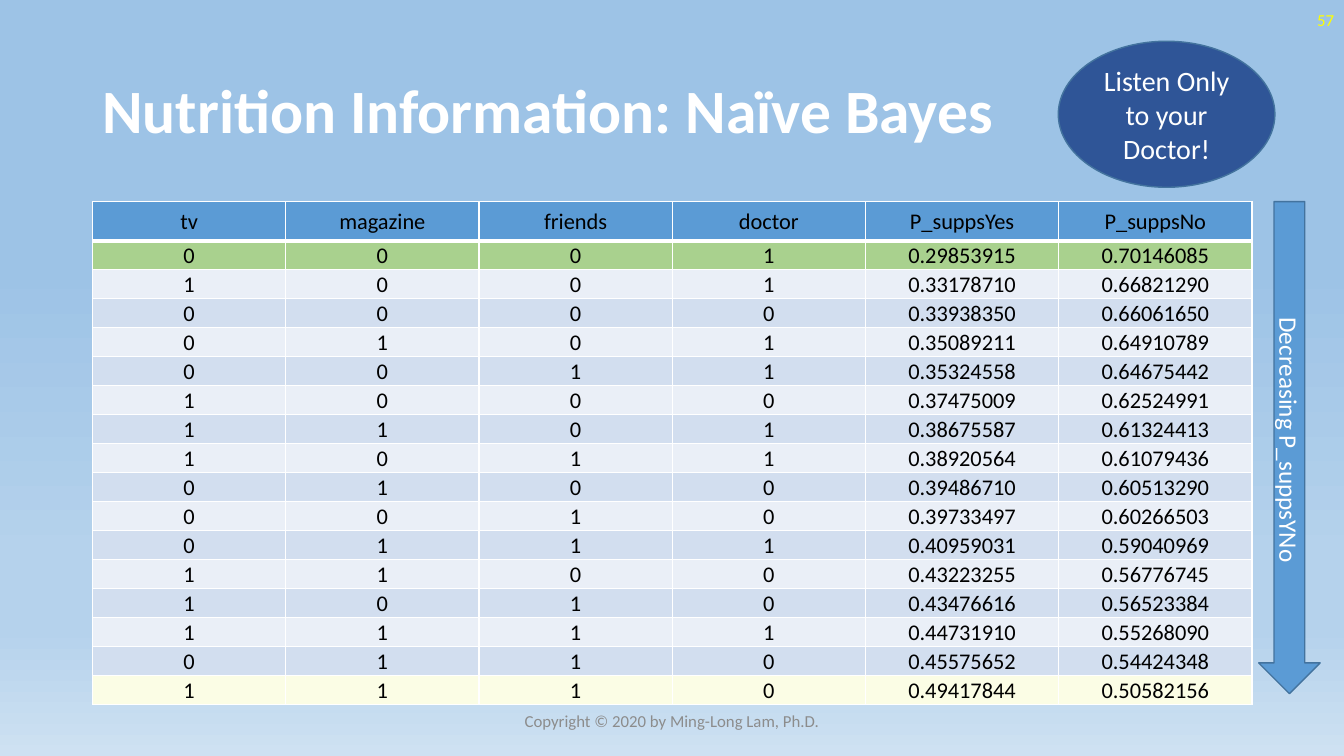
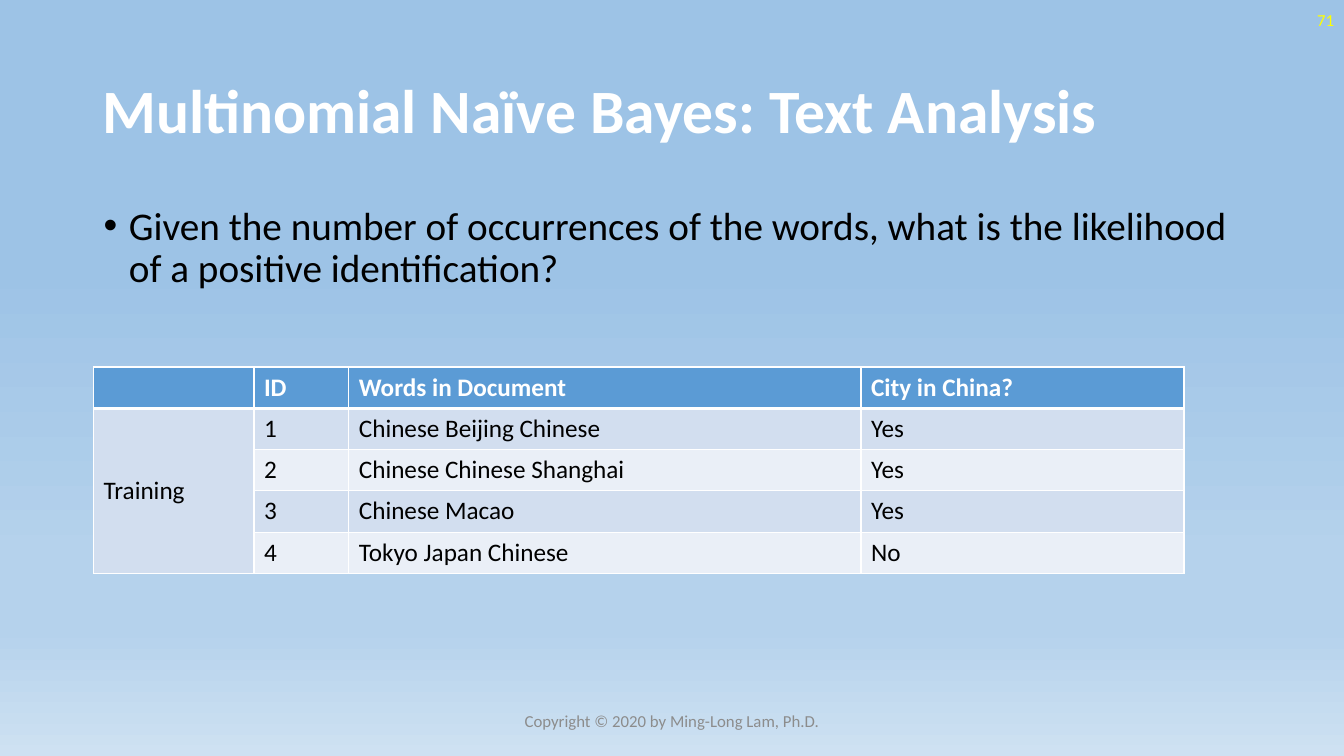
"""Build two slides on Naïve Bayes: a probability table and a text analysis table."""
from lxml.etree import SubElement
from pptx import Presentation
from pptx.dml.color import RGBColor as RGB
from pptx.enum.shapes import MSO_SHAPE as Shape
from pptx.enum.text import MSO_ANCHOR as Anchor, PP_ALIGN as Align
from pptx.oxml import parse_xml
from pptx.oxml.ns import nsdecls, qn
from pptx.util import Cm, Pt

FONT = "Calibri"
WHITE = RGB(0xFF, 0xFF, 0xFF)
BLACK = RGB(0x00, 0x00, 0x00)
YELLOW = RGB(0xFF, 0xFF, 0x00)
GREY = RGB(0x8C, 0x8C, 0x8C)
BLUE = RGB(0x5B, 0x9B, 0xD5)
NAVY = RGB(0x2F, 0x55, 0x97)
EDGE = RGB(0x43, 0x73, 0x9E)
BAND = RGB(0xD2, 0xDE, 0xEF)
PALE = RGB(0xEA, 0xEF, 0xF7)
GREEN = RGB(0xA9, 0xD1, 0x8E)
CREAM = RGB(0xFB, 0xFD, 0xE5)
SKY = [(35, "9DC3E6"), (74, "B5D2EC"), (83, "B5D2EC"), (100, "CEE1F2")]


def write(frame, text, size, color, bold=False, align=Align.LEFT, anchor=None):
    """Fill a text frame with one styled paragraph and return the paragraph."""
    frame.word_wrap = True
    if anchor is not None:
        frame.vertical_anchor = anchor
    para = frame.paragraphs[0]
    para.text = text
    para.alignment = align
    font = para.font
    font.name, font.size, font.bold = FONT, Pt(size), bold
    font.color.rgb = color
    return para


def grid(slide, left, top, widths, heights, rows, fills, size, head, bold, align):
    """Add a table with white borders and a thick rule below its first row."""
    table = slide.shapes.add_table(len(rows), len(widths), Cm(left), Cm(top),
                                   Cm(sum(widths)), Cm(sum(heights))).table
    table.first_row = table.horz_banding = False
    for col, width in zip(table.columns, widths):
        col.width = Cm(width)
    for r, (row, fill) in enumerate(zip(rows, fills)):
        table.rows[r].height = Cm(heights[r])
        for c, text in enumerate(row):
            cell = table.cell(r, c)
            cell.fill.solid()
            cell.fill.fore_color.rgb = fill
            write(cell.text_frame, text, size, BLACK if r else head,
                  bold and r == 0, align)
            props = cell._tc.get_or_add_tcPr()
            for i, side in enumerate("LRTB"):
                thick = (r, side) in [(0, "B"), (1, "T")]
                props.insert(i, parse_xml(
                    f'<a:ln{side} {nsdecls("a")} w="{Pt(3 if thick else 1)}">'
                    f'<a:solidFill><a:srgbClr val="{WHITE}"/></a:solidFill>'
                    f'</a:ln{side}>'))
    return table


deck = Presentation()
deck.slide_width, deck.slide_height = Cm(33.87), Cm(19.05)

master = deck.slide_master
back = master.background.fill
back.gradient()
back.gradient_angle = 270
stops = master.element.find(".//" + qn("a:gsLst"))
for stop in list(stops):
    stops.remove(stop)
for place, shade in SKY:
    stop = SubElement(stops, qn("a:gs"), pos=str(place * 1000))
    SubElement(stop, qn("a:srgbClr"), val=shade)

slides = []
for title, number in [("Nutrition Information: Naïve Bayes", "57"),
                      ("Multinomial Naïve Bayes: Text Analysis", "71")]:
    slide = deck.slides.add_slide(deck.slide_layouts[6])
    slides.append(slide)
    for box, text, size, color, bold, align in [
            ((2.33, 1.02, 29.21, 3.68), title, 44, WHITE, True, Align.LEFT),
            ((26.25, 0, 7.62, 1.02), number, 12, YELLOW, False, Align.RIGHT),
            ((11.22, 17.65, 11.43, 1.02), "Copyright © 2020 by Ming-Long Lam, Ph.D.",
             12, GREY, False, Align.CENTER)]:
        frame = slide.shapes.add_textbox(*map(Cm, box)).text_frame
        para = write(frame, text, size, color, bold, align, Anchor.MIDDLE)
        if bold:
            para.line_spacing = 0.9
odds, words = slides

cases = [
    ("0001", 0.29853915), ("1001", 0.33178710), ("0000", 0.33938350),
    ("0101", 0.35089211), ("0011", 0.35324558), ("1000", 0.37475009),
    ("1101", 0.38675587), ("1011", 0.38920564), ("0100", 0.39486710),
    ("0010", 0.39733497), ("0111", 0.40959031), ("1100", 0.43223255),
    ("1010", 0.43476616), ("1111", 0.44731910), ("0110", 0.45575652),
    ("1110", 0.49417844),
]
rows = [["tv", "magazine", "friends", "doctor", "P_suppsYes", "P_suppsNo"]]
rows += [[*flags, f"{yes:.8f}", f"{1 - yes:.8f}"] for flags, yes in cases]
fills = [BLUE, GREEN] + [PALE, BAND] * 7 + [CREAM]
table = grid(odds, 2.33, 5.08, [4.87] * 6, [0.99] + [0.73] * 16, rows, fills,
             16, BLACK, False, Align.CENTER)
for cell in table.iter_cells():
    cell.vertical_anchor = Anchor.MIDDLE
    cell.margin_left = cell.margin_right = cell.margin_top = Cm(0.03)
    cell.margin_bottom = 0

for kind, box, fill, text, size in [
        (Shape.DOWN_ARROW, (31.72, 5.08, 1.55, 12.4), BLUE,
         "Decreasing P_suppsYNo", 18),
        (Shape.OVAL, (26.67, 1.04, 5.46, 3.68), NAVY,
         "Listen Only to your Doctor!", 20)]:
    shape = odds.shapes.add_shape(kind, *map(Cm, box))
    shape.shadow.inherit = False
    shape.fill.solid()
    shape.fill.fore_color.rgb = fill
    shape.line.color.rgb = EDGE
    shape.line.width = Pt(1)
    write(shape.text_frame, text, size, WHITE, align=Align.CENTER, anchor=Anchor.MIDDLE)
    if kind == Shape.DOWN_ARROW:
        shape.element.find(".//" + qn("a:bodyPr")).set("vert", "vert")

frame = words.shapes.add_textbox(Cm(2.36), Cm(5.08), Cm(29.21), Cm(4.19)).text_frame
props = frame.paragraphs[0]._p.get_or_add_pPr()
props.set("marL", str(Cm(0.64)))
props.set("indent", str(-Cm(0.64)))
SubElement(props, qn("a:buFont"), typeface="Arial")
SubElement(props, qn("a:buChar"), char="•")
para = write(frame, "Given the number of occurrences of the words, what is the "
             "likelihood of a positive identification?", 28, BLACK)
para.line_spacing = 0.9

rows = [
    ["", "ID", "Words in Document", "City in China?"],
    ["Training", "1", "Chinese Beijing Chinese", "Yes"],
    ["", "2", "Chinese Chinese Shanghai", "Yes"],
    ["", "3", "Chinese Macao", "Yes"],
    ["", "4", "Tokyo Japan Chinese", "No"],
]
table = grid(words, 2.36, 9.25, [4.04, 2.39, 12.91, 8.14], [1.04] * 5, rows,
             [BLUE] + [BAND, PALE] * 2, 18, WHITE, True, Align.LEFT)
group = table.cell(1, 0)
group.merge(table.cell(4, 0))
group.vertical_anchor = Anchor.MIDDLE

deck.save("out.pptx")
